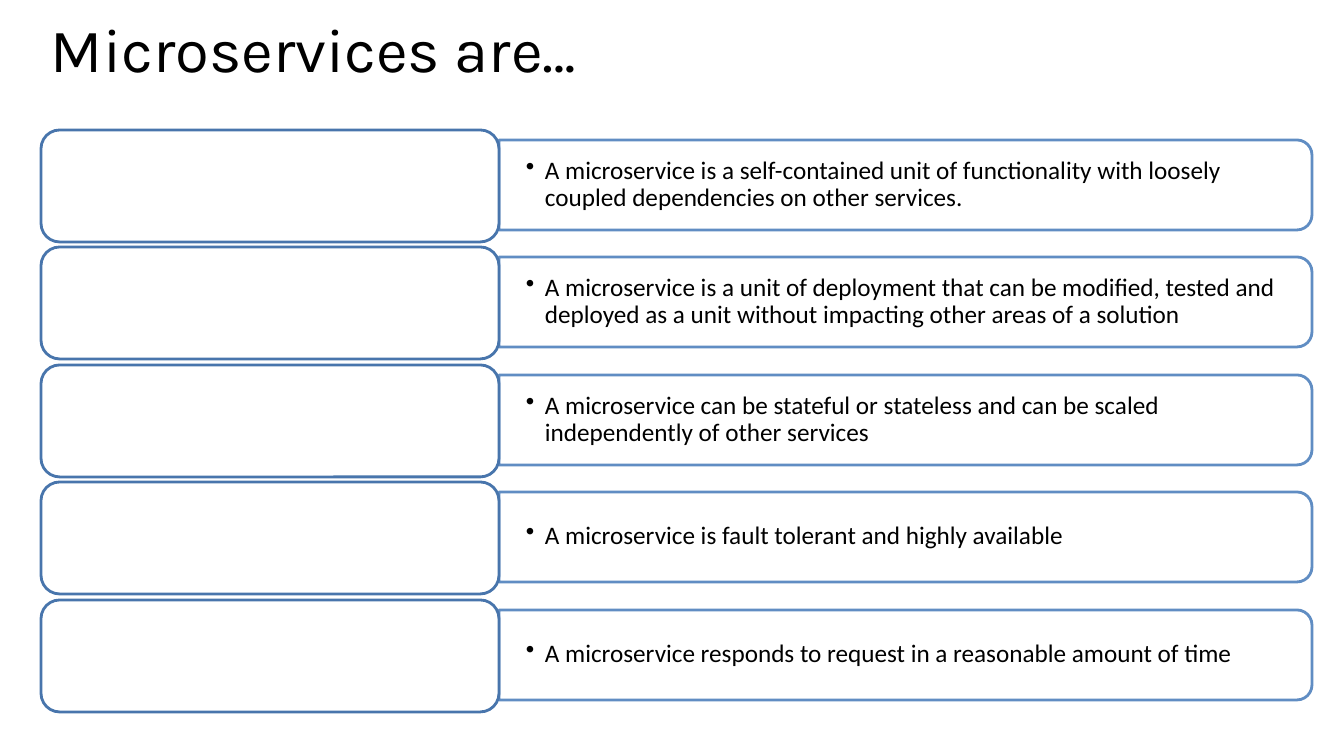
from lxml import etree
from pptx import Presentation
from pptx import util as u
from pptx.dml.color import RGBColor
from pptx.enum import shapes, text
from pptx.oxml.ns import qn

EMU_PER_PX = 914400 / 100.8
STATEMENTS = [
    "A microservice is a self-contained unit of functionality with loosely "
    "coupled dependencies on other services.",
    "A microservice is a unit of deployment that can be modified, tested and "
    "deployed as a unit without impacting other areas of a solution",
    "A microservice can be stateful or stateless and can be scaled "
    "independently of other services",
    "A microservice is fault tolerant and highly available",
    "A microservice responds to request in a reasonable amount of time",
]
ROWS_SPAN = 470  # from the top of the first row to the top of the last


def px(length):
    return u.Emu(round(length * EMU_PER_PX))


def color(hex_value):
    return RGBColor.from_string(hex_value)


def set_all(target, values):
    for name, value in values.items():
        setattr(target, name, value)


class SlideBuilder:
    ink = "000000"
    paper = "FFFFFF"
    label_line = "4875AC"
    panel_line = "4F81BD"
    title_font = {"name": "Karla", "size": u.Pt(44), "bold": False}
    body_font = {"name": "Calibri", "size": u.Pt(18)}

    def __init__(self, page):
        self.page = page

    def add_wording(self, paragraph, wording, font, line_spacing):
        paragraph.line_spacing = line_spacing
        span = paragraph.add_run()
        span.text = wording
        set_all(span.font, font)
        span.font.color.rgb = color(self.ink)

    def frame(self, box, side, end, anchor):
        """Set up the text frame of a box and return its first paragraph."""
        frame = box.text_frame
        set_all(frame, {
            "word_wrap": True, "auto_size": text.MSO_AUTO_SIZE.NONE,
            "vertical_anchor": anchor,
            "margin_left": px(side), "margin_right": px(side),
            "margin_top": px(end), "margin_bottom": px(end),
        })
        return frame.paragraphs[0]

    def title(self, wording, left, top, width, height):
        box = self.page.shapes.title
        set_all(box, {"left": px(left), "top": px(top),
                      "width": px(width), "height": px(height)})
        paragraph = self.frame(box, 10, 5, text.MSO_ANCHOR.TOP)
        paragraph.alignment = text.PP_ALIGN.LEFT
        self.add_wording(paragraph, wording, self.title_font, 0.8)

    def outline(self, kind, left, top, width, height, line):
        shape = self.page.shapes.add_shape(
            kind, px(left), px(top), px(width), px(height))
        shape.shadow.inherit = False
        shape.fill.solid()
        shape.fill.fore_color.rgb = color(self.paper)
        shape.line.color.rgb = color(line)
        shape.line.width = u.Pt(2)
        return shape

    def label(self, left, top, width, height):
        self.outline(shapes.MSO_SHAPE.ROUNDED_RECTANGLE,
                     left, top, width, height, self.label_line)

    def panel(self, left, top, width, height):
        """Panel rounded on its right side only: a top-rounded one turned by 90°."""
        shift = (width - height) / 2
        shape = self.outline(shapes.MSO_SHAPE.ROUND_2_SAME_RECTANGLE,
                             left + shift, top - shift, height, width, self.panel_line)
        shape.rotation = 90
        for paint in shape._element.spPr.iter(qn("a:srgbClr")):
            etree.SubElement(paint, qn("a:alpha"), val="90000")

    def bullet(self, wording, left, top, width, height):
        box = self.page.shapes.add_textbox(px(left), px(top), px(width), px(height))
        paragraph = self.frame(box, 27, 14, text.MSO_ANCHOR.MIDDLE)
        properties = paragraph._p.get_or_add_pPr()
        properties.set("marL", str(px(19)))
        properties.set("indent", str(px(-19)))
        etree.SubElement(properties, qn("a:buChar"), char="•")
        self.add_wording(paragraph, wording, self.body_font, 0.9)


def main():
    deck = Presentation()
    deck.slide_width, deck.slide_height = px(1344), px(756)
    page = deck.slides.add_slide(deck.slide_layouts.get_by_name("Title Only"))
    builder = SlideBuilder(page)
    builder.title("Microservices are…", 41, 20, 1270, 117)
    for row, statement in enumerate(STATEMENTS):
        top = 130 + ROWS_SPAN * row // (len(STATEMENTS) - 1)
        builder.panel(499, top + 10, 813, 90)
        builder.bullet(statement, 499, top + 14, 809, 81)
        builder.label(41, top, 458, 112)
    deck.save("out.pptx")


if __name__ == "__main__":
    main()
